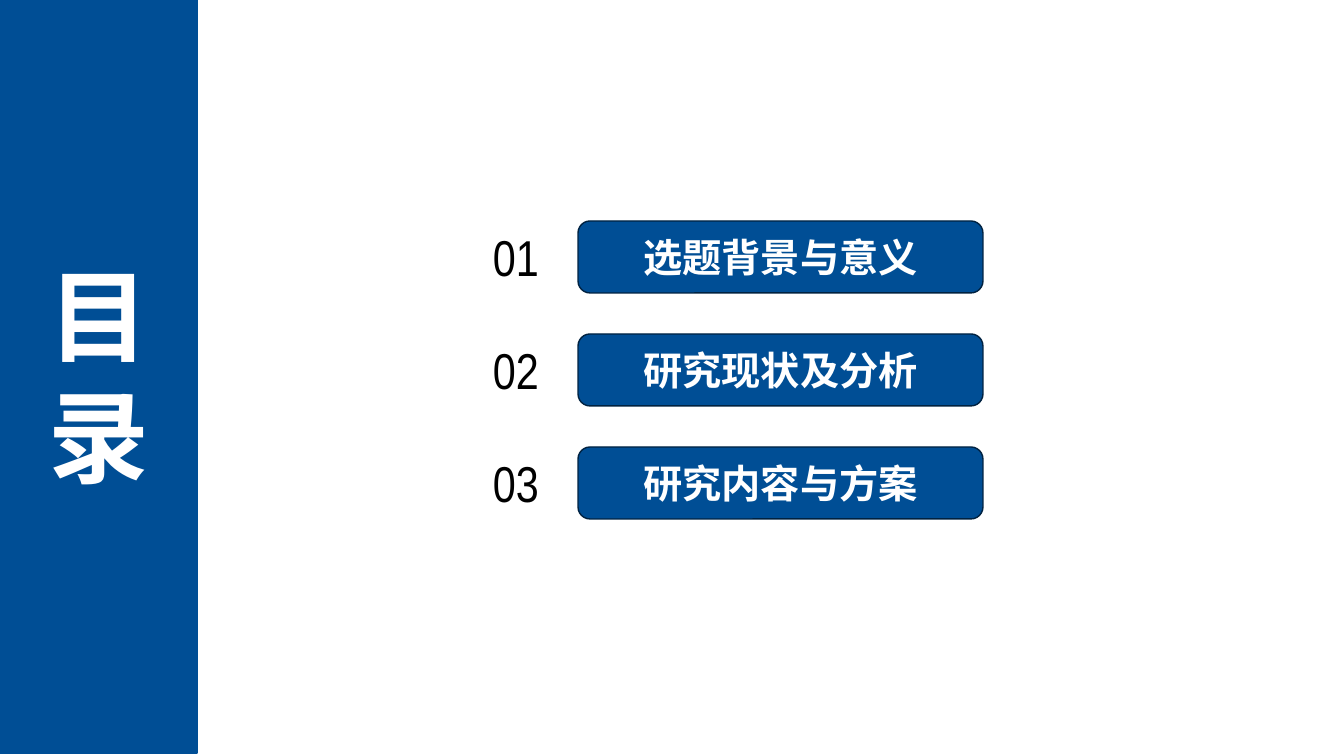
from lxml import etree
from pptx import Presentation
from pptx import util as u
from pptx.dml.color import RGBColor
from pptx.enum import shapes, text
from pptx.oxml.ns import qn

PX = 914400 / 100.8  # EMU per pixel

BLUE = RGBColor(0x00, 0x4E, 0x95)
NAVY = RGBColor(0x00, 0x22, 0x41)
WHITE = RGBColor(0xFF, 0xFF, 0xFF)
BLACK = RGBColor(0x00, 0x00, 0x00)

HEADING_FONT = "Noto Sans CJK SC"
NUMBER_FONT = "Arial Narrow"

TOPICS = ["选题背景与意义", "研究现状及分析", "研究内容与方案"]
FIRST_TOP, ROW_PITCH, ROW_HEIGHT = 221, 113, 72


def px(value):
    return u.Emu(round(value * PX))


def place(shape, left, top, width, height):
    shape.left, shape.top = px(left), px(top)
    shape.width, shape.height = px(width), px(height)


def paint(shape, fill, line):
    shape.fill.solid()
    shape.fill.fore_color.rgb = fill
    shape.line.color.rgb = line
    shape.line.width = u.Pt(1)


def write(shape, *lines, size, font=HEADING_FONT, color=WHITE, bold=True,
          align=text.PP_ALIGN.CENTER, anchor=text.MSO_ANCHOR.MIDDLE):
    frame = shape.text_frame
    frame.word_wrap = True
    frame.auto_size = text.MSO_AUTO_SIZE.NONE
    frame.vertical_anchor = anchor
    for index, line in enumerate(lines):
        para = frame.add_paragraph() if index else frame.paragraphs[0]
        para.alignment = align
        span = para.add_run()
        span.text = line
        span.font.name = font
        span.font.size = u.Pt(size)
        span.font.bold = bold
        span.font.color.rgb = color
        # Chinese characters take the East Asian typeface
        etree.SubElement(span.font._element, qn("a:ea"), typeface=font)


def add_sidebar(page):
    title = page.shapes.title
    place(title, 0, -3, 197, 756)
    paint(title, BLUE, BLUE)
    write(title, "目", "录", size=72)


def add_number(page, number, top):
    box = page.shapes.add_textbox(px(483), px(top), px(74), px(ROW_HEIGHT))
    write(box, f"{number:02d}", size=36, font=NUMBER_FONT, color=BLACK,
          bold=False, align=text.PP_ALIGN.LEFT, anchor=text.MSO_ANCHOR.TOP)


def add_topic(page, topic, top):
    button = page.shapes.add_shape(shapes.MSO_SHAPE.ROUNDED_RECTANGLE,
                                   px(578), px(top), px(405), px(ROW_HEIGHT))
    button.shadow.inherit = False
    paint(button, BLUE, NAVY)
    write(button, topic, size=28)


def main():
    deck = Presentation()
    deck.slide_width, deck.slide_height = px(1344), px(756)
    page = deck.slides.add_slide(deck.slide_layouts[5])

    # Blue sidebar with the heading
    add_sidebar(page)

    # Numbered topics
    for index, topic in enumerate(TOPICS):
        top = FIRST_TOP + index * ROW_PITCH
        add_topic(page, topic, top)
        add_number(page, index + 1, top)

    deck.save("out.pptx")


if __name__ == "__main__":
    main()
